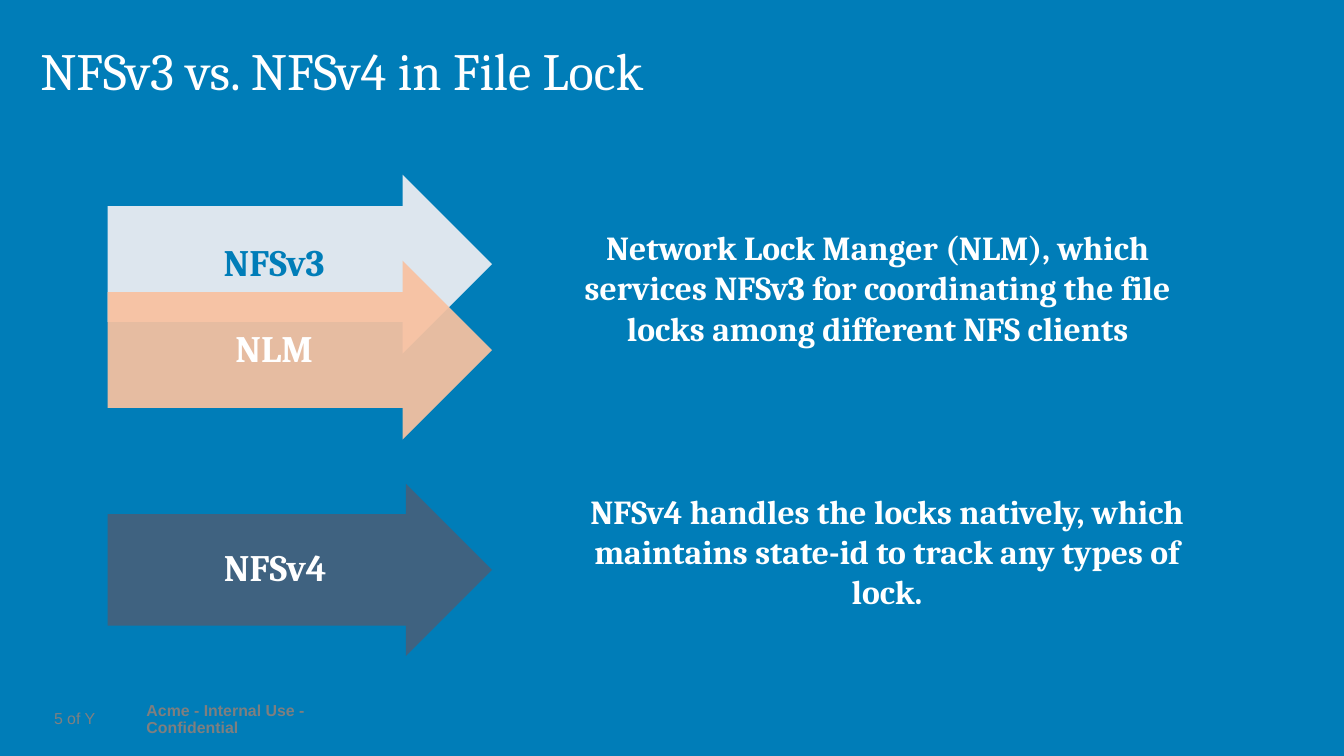
from lxml.etree import SubElement
from pptx import Presentation
from pptx.dml.color import RGBColor
from pptx.enum.shapes import MSO_SHAPE
from pptx.enum.text import MSO_ANCHOR, MSO_AUTO_SIZE, PP_ALIGN
from pptx.oxml.ns import qn
from pptx.util import Pt

BLUE = "007DB8"
WHITE = "FFFFFF"
ARROW_LEFT = 57.6
ARROW_WIDTH = 206


def color(value):
    return RGBColor.from_string(value)


def set_frame(frame, margins, anchor, wrap=True, auto_size=MSO_AUTO_SIZE.NONE):
    frame.margin_left, frame.margin_top, frame.margin_right, frame.margin_bottom = map(Pt, margins)
    frame.vertical_anchor = anchor
    frame.word_wrap = wrap
    frame.auto_size = auto_size


def write(frame, text, size, text_color, font="Cambria", bold=False,
          align=PP_ALIGN.LEFT, spacing=0.9):
    paragraph = frame.paragraphs[0]
    paragraph.alignment = align
    paragraph.line_spacing = spacing
    run = paragraph.add_run()
    run.text = text
    run.font.name = font
    run.font.size = Pt(size)
    run.font.bold = bold
    run.font.color.rgb = color(text_color)


def set_title(slide, text):
    title = slide.shapes.title
    title.left, title.top, title.width, title.height = Pt(21.6), Pt(20.9), Pt(626.4), Pt(50.4)
    set_frame(title.text_frame, (0, 3.6, 0, 3.6), MSO_ANCHOR.TOP)
    write(title.text_frame, text, 28, WHITE)


def add_arrow(slide, top, height, text, fill, text_color=WHITE, opacity=100):
    arrow = slide.shapes.add_shape(
        MSO_SHAPE.RIGHT_ARROW, Pt(ARROW_LEFT), Pt(top), Pt(ARROW_WIDTH), Pt(height))
    arrow.adjustments[0] = 0.647
    arrow.adjustments[1] = 0.5
    arrow.shadow.inherit = False
    arrow.line.fill.background()
    arrow.fill.solid()
    arrow.fill.fore_color.rgb = color(fill)
    if opacity < 100:
        fill_color = arrow.fill._xPr.find(qn("a:solidFill"))[0]
        SubElement(fill_color, qn("a:alpha")).set("val", str(opacity * 1000))
    set_frame(arrow.text_frame, (14.4, 10.8, 10.8, 10.8), MSO_ANCHOR.MIDDLE)
    write(arrow.text_frame, text, 20, text_color, bold=True, align=PP_ALIGN.CENTER)


def add_description(slide, left, top, text):
    box = slide.shapes.add_textbox(Pt(left), Pt(top), Pt(337), Pt(72.7))
    set_frame(box.text_frame, (7.2, 3.6, 7.2, 3.6), MSO_ANCHOR.TOP,
              auto_size=MSO_AUTO_SIZE.SHAPE_TO_FIT_TEXT)
    write(box.text_frame, text, 18, WHITE, bold=True, align=PP_ALIGN.CENTER, spacing=1.0)


def add_footer(slide, left, width, text, text_color="808080", bold=False, align=PP_ALIGN.LEFT):
    box = slide.shapes.add_textbox(Pt(left), Pt(380.9), Pt(width), Pt(9.4))
    set_frame(box.text_frame, (0, 0, 0, 0), MSO_ANCHOR.MIDDLE, wrap=False,
              auto_size=MSO_AUTO_SIZE.SHAPE_TO_FIT_TEXT)
    write(box.text_frame, text, 8.5, text_color, font="Arial", bold=bold, align=align)


def main():
    presentation = Presentation()
    presentation.slide_width = Pt(720)
    presentation.slide_height = Pt(405)
    slide = presentation.slides.add_slide(presentation.slide_layouts[5])
    slide.background.fill.solid()
    slide.background.fill.fore_color.rgb = color(BLUE)

    add_footer(slide, 78.5, 129.6, "Acme - Internal Use - Confidential", "7F7F7F", bold=True)
    add_footer(slide, 23, 10.8, "5", align=PP_ALIGN.RIGHT)
    add_footer(slide, 36, 15.1, "of Y")
    set_title(slide, "NFSv3 vs. NFSv4 in File Lock")

    add_arrow(slide, 93.6, 95.8, "NFSv3", "DDE6EE", text_color=BLUE)
    add_arrow(slide, 139.7, 95.8, "NLM", "F8C1A0", opacity=93)
    add_description(slide, 301.7, 118.1,
                    "Network Lock Manger (NLM), which services NFSv3 for "
                    "coordinating the file locks among different NFS clients")
    add_arrow(slide, 259.2, 92.2, "NFSv4", "3F6280")
    add_description(slide, 306.7, 259.2,
                    "NFSv4 handles the locks natively, which maintains "
                    "state-id to track any types of lock.")

    presentation.save("out.pptx")


if __name__ == "__main__":
    main()
